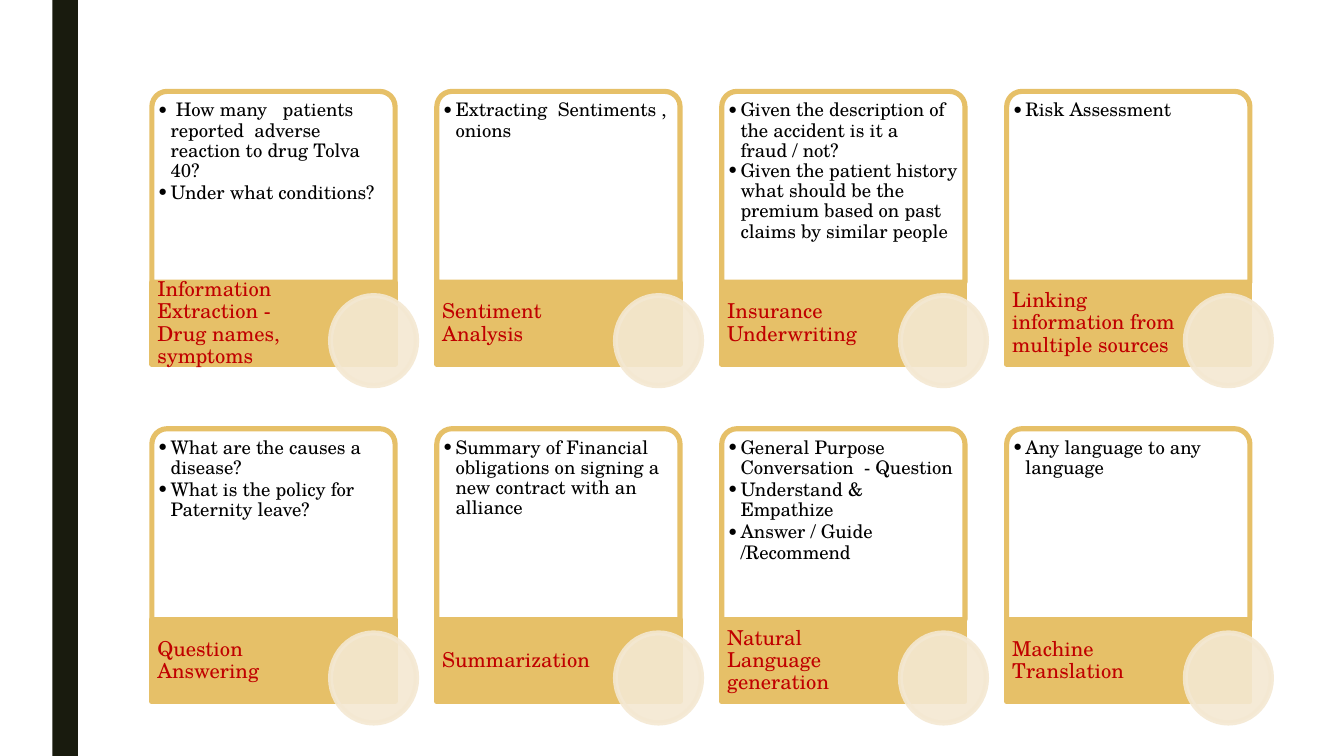
"""Build a slide of eight language-processing use cases as a grid of cards."""

from dataclasses import dataclass

from lxml import etree
from pptx import Presentation
from pptx.dml.color import RGBColor
from pptx.enum.shapes import MSO_SHAPE
from pptx.enum.text import MSO_ANCHOR, PP_ALIGN
from pptx.oxml.ns import qn
from pptx.shapes.autoshape import Shape
from pptx.slide import Slide
from pptx.text.text import TextFrame
from pptx.util import Inches, Pt

RECTANGLE = MSO_SHAPE.RECTANGLE
ROUNDED_TOP = MSO_SHAPE.ROUND_2_SAME_RECTANGLE
OVAL = MSO_SHAPE.OVAL
TOP = MSO_ANCHOR.TOP
MIDDLE = MSO_ANCHOR.MIDDLE
LEFT = PP_ALIGN.LEFT


@dataclass(frozen=True)
class Theme:
    """Colours, font and type sizes of the slide."""

    bar: str = "191B0E"
    panel: str = "FFFFFF"
    accent: str = "E6C068"
    circle: str = "F4E8D2"
    body: str = "000000"
    title: str = "C00000"
    font: str = "TeX Gyre Schola"
    body_size: float = 10
    title_size: float = 11
    line_width: float = 2.75
    opacity: int = 90


@dataclass(frozen=True)
class Box:
    """A position and size in inches."""

    left: float
    top: float
    width: float
    height: float


@dataclass(frozen=True)
class Card:
    """A use case with its example bullets."""

    title: str
    bullets: tuple[str, ...]
    bullet_gap: float = 1


THEME = Theme()
SLIDE_WIDTH = 10
SLIDE_HEIGHT = SLIDE_WIDTH * 9 / 16
COLUMNS = 4
FIRST_LEFT, FIRST_TOP = 1.13, 0.68
COLUMN_PITCH, ROW_PITCH = 2.12, 2.51
CARD_WIDTH, PANEL_HEIGHT, BAND_HEIGHT = 1.81, 1.42, 0.61
BULLET_INDENT = 0.1

CARDS = (
    Card(
        "Information Extraction - Drug names, symptoms",
        (
            " How many   patients reported  adverse reaction to drug Tolva 40?",
            "Under what conditions?",
        ),
    ),
    Card("Sentiment Analysis", ("Extracting  Sentiments , onions",)),
    Card(
        "Insurance Underwriting",
        (
            "Given the description of the accident is it a fraud / not?",
            "Given the patient history what should be the premium based on past claims by similar people",
        ),
        bullet_gap=0,
    ),
    Card("Linking information from multiple sources", ("Risk Assessment",)),
    Card(
        "Question Answering",
        ("What are the causes a disease?", "What is the policy for Paternity leave?"),
    ),
    Card(
        "Summarization",
        ("Summary of Financial obligations on signing a new contract with an alliance",),
    ),
    Card(
        "Natural Language generation",
        (
            "General Purpose Conversation  - Question",
            "Understand & Empathize",
            "Answer / Guide /Recommend",
        ),
    ),
    Card("Machine Translation", ("Any language to any language",)),
)


def add_plain_shape(slide: Slide, kind: MSO_SHAPE, box: Box, fill: str, line: str | None = None) -> Shape:
    """Add a filled shape without shadow, outlined if a line colour is given."""
    shape = slide.shapes.add_shape(
        kind, Inches(box.left), Inches(box.top), Inches(box.width), Inches(box.height)
    )
    shape.shadow.inherit = False
    shape.fill.solid()
    shape.fill.fore_color.rgb = RGBColor.from_string(fill)
    if line is None:
        shape.line.fill.background()
    else:
        shape.line.color.rgb = RGBColor.from_string(line)
        shape.line.width = Pt(THEME.line_width)
    return shape


def set_opacity(properties: etree.ElementBase) -> None:
    """Apply the theme opacity to the solid fill directly inside the element."""
    color = properties.find(qn("a:solidFill")).find(qn("a:srgbClr"))
    etree.SubElement(color, qn("a:alpha"), val=str(THEME.opacity * 1000))


def add_text_frame(slide: Slide, box: Box, margins: tuple[float, ...], anchor: MSO_ANCHOR) -> TextFrame:
    """Add a wrapping text box with left, top, right and bottom margins."""
    frame = slide.shapes.add_textbox(
        Inches(box.left), Inches(box.top), Inches(box.width), Inches(box.height)
    ).text_frame
    frame.word_wrap = True
    frame.vertical_anchor = anchor
    frame.margin_left, frame.margin_top, frame.margin_right, frame.margin_bottom = map(Inches, margins)
    return frame


def add_lines(frame: TextFrame, lines: tuple[str, ...], size: float, color: str,
              bulleted: bool = False, gap: float = 0) -> None:
    """Write one paragraph per line, with bullets if asked."""
    for index, line in enumerate(lines):
        paragraph = frame.add_paragraph() if index else frame.paragraphs[0]
        paragraph.text = line
        paragraph.alignment = LEFT
        paragraph.line_spacing = 0.9
        paragraph.space_before = Pt(gap if index else 0)
        if bulleted:
            paragraph.level = 1
            properties = paragraph._p.get_or_add_pPr()
            properties.set("marL", str(Inches(BULLET_INDENT)))
            properties.set("indent", str(-Inches(BULLET_INDENT)))
            bullet_color = etree.SubElement(properties, qn("a:buClr"))
            etree.SubElement(bullet_color, qn("a:srgbClr"), val=color)
            etree.SubElement(properties, qn("a:buFont"), typeface=THEME.font)
            etree.SubElement(properties, qn("a:buChar"), char="•")
        paragraph.font.name = THEME.font
        paragraph.font.size = Pt(size)
        paragraph.font.color.rgb = RGBColor.from_string(color)


def add_card(slide: Slide, card: Card, left: float, top: float) -> None:
    """Draw a bullet panel, its title band and the circle over the corner."""
    band_top = top + PANEL_HEIGHT
    panel = add_plain_shape(
        slide, ROUNDED_TOP, Box(left, top, CARD_WIDTH, PANEL_HEIGHT), THEME.panel, THEME.accent
    )
    panel.adjustments[0] = 0.08
    panel.adjustments[1] = 0
    set_opacity(panel._element.spPr)
    bullets = add_text_frame(
        slide, Box(left + 0.03, top + 0.03, 1.75, 1.39), (0.01, 0.04, 0.01, 0.01), TOP
    )
    add_lines(bullets, card.bullets, THEME.body_size, THEME.body, True, card.bullet_gap)

    add_plain_shape(
        slide, RECTANGLE, Box(left, band_top, CARD_WIDTH, BAND_HEIGHT), THEME.accent, THEME.accent
    )
    title = add_text_frame(slide, Box(left, band_top, 1.28, BAND_HEIGHT), (0.04, 0, 0.01, 0), MIDDLE)
    add_lines(title, (card.title,), THEME.title_size, THEME.title)

    circle = add_plain_shape(
        slide, OVAL, Box(left + 1.33, band_top + 0.1, 0.64, 0.67), THEME.circle, THEME.circle
    )
    set_opacity(circle._element.spPr)
    set_opacity(circle._element.spPr.find(qn("a:ln")))


def main() -> None:
    """Create and save the presentation."""
    presentation = Presentation()
    presentation.slide_width = Inches(SLIDE_WIDTH)
    presentation.slide_height = Inches(SLIDE_HEIGHT)
    slide = presentation.slides.add_slide(presentation.slide_layouts[6])
    add_plain_shape(slide, RECTANGLE, Box(0.39, 0, 0.19, SLIDE_HEIGHT), THEME.bar)
    for index, card in enumerate(CARDS):
        row, column = divmod(index, COLUMNS)
        add_card(slide, card, FIRST_LEFT + column * COLUMN_PITCH, FIRST_TOP + row * ROW_PITCH)
    presentation.save("out.pptx")


if __name__ == "__main__":
    main()
